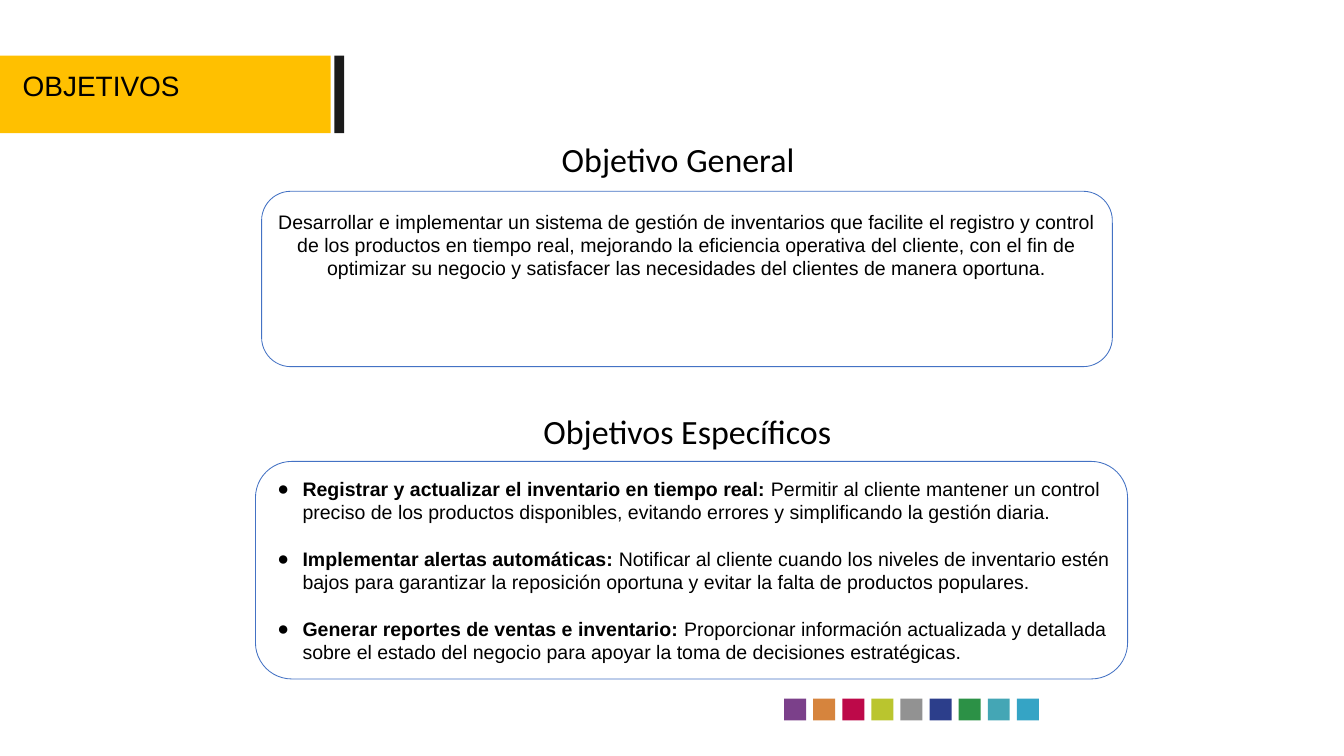
from dataclasses import dataclass

from lxml import etree
from pptx import Presentation
from pptx.dml.color import RGBColor as RGB
from pptx.enum.shapes import MSO_SHAPE as Kind
from pptx.enum.text import MSO_ANCHOR as Anchor, MSO_AUTO_SIZE as Fit, PP_ALIGN as Align
from pptx.oxml.ns import qn
from pptx.util import Inches, Pt


@dataclass(frozen=True)
class Theme:
    ink: str = "000000"
    gold: str = "FFC000"
    dark: str = "1A1A1A"
    edge: str = "4472C4"
    white: str = "FFFFFF"
    swatch: tuple = ("7B408A", "D6843D", "BD0949", "BAC52E", "929292",
                     "2C3E8B", "2C9146", "44A6B5", "35A4C5")
    sans: str = "Arial"
    head: str = "Calibri"
    title: float = 33
    label: float = 40
    text: float = 23


THEME = Theme()

GOAL = ("Desarrollar e implementar un sistema de gestión de inventarios que facilite "
        "el registro y control de los productos en tiempo real, mejorando la eficiencia "
        "operativa del cliente, con el fin de optimizar su negocio y satisfacer las "
        "necesidades del clientes de manera oportuna.")
AIMS = [
    ("Registrar y actualizar el inventario en tiempo real:",
     " Permitir al cliente mantener un control preciso de los productos disponibles, "
     "evitando errores y simplificando la gestión diaria."),
    ("Implementar alertas automáticas:",
     " Notificar al cliente cuando los niveles de inventario estén bajos para garantizar "
     "la reposición oportuna y evitar la falta de productos populares."),
    ("Generar reportes de ventas e inventario:",
     " Proporcionar información actualizada y detallada sobre el estado del negocio para "
     "apoyar la toma de decisiones estratégicas."),
]


def put(item, values):
    """Set each named attribute of item."""
    for name, value in values.items():
        setattr(item, name, value)


def place(shape, box):
    put(shape, dict(zip(("left", "top", "width", "height"), map(Inches, box))))


def setup(frame, pads, anchor=Anchor.TOP):
    """Set the insets (left, top, right, bottom), wrapping and anchor."""
    sides = ("margin_left", "margin_top", "margin_right", "margin_bottom")
    put(frame, dict(zip(sides, map(Inches, pads))))
    put(frame, {"word_wrap": True, "auto_size": Fit.NONE, "vertical_anchor": anchor})


def write(para, text, size, face=THEME.sans, bold=False):
    run = para.add_run()
    run.text = text
    put(run.font, {"size": Pt(size), "name": face, "bold": bold})
    run.font.color.rgb = RGB.from_string(THEME.ink)


def block(slide, box, fill, kind=Kind.RECTANGLE):
    shape = slide.shapes.add_shape(kind, *map(Inches, box))
    shape.shadow.inherit = False
    shape.fill.solid()
    shape.fill.fore_color.rgb = RGB.from_string(fill)
    shape.line.fill.background()
    return shape


def card(slide, box):
    shape = block(slide, box, THEME.white, Kind.ROUNDED_RECTANGLE)
    shape.line.color.rgb = RGB.from_string(THEME.edge)
    shape.line.width = Pt(1)
    return shape


def label(slide, box, text):
    frame = slide.shapes.add_textbox(*map(Inches, box)).text_frame
    setup(frame, (0.1, 0.06, 0.1, 0.05))
    para = frame.paragraphs[0]
    para.alignment = Align.CENTER
    write(para, text, THEME.label, THEME.head)


def bullet(para):
    props = para._p.get_or_add_pPr()
    props.set("marL", str(Inches(0.5)))
    props.set("indent", str(Inches(-0.41)))
    color = etree.SubElement(props, qn("a:buClr"))
    etree.SubElement(color, qn("a:srgbClr"), val=THEME.ink)
    etree.SubElement(props, qn("a:buFont"), typeface=THEME.sans)
    etree.SubElement(props, qn("a:buChar"), char="●")


def title(shape, box, text):
    place(shape, box)
    setup(shape.text_frame, (0, 0, 0, 0))
    para = shape.text_frame.paragraphs[0]
    para.alignment = Align.LEFT
    write(para, text, THEME.title)


def aims(shape, box):
    """Fill the body with the list of bold leads and their details."""
    place(shape, box)
    frame = shape.text_frame
    setup(frame, (0.27, 0.2, 0.27, 0.2), Anchor.MIDDLE)
    for i, (lead, rest) in enumerate(AIMS):
        para = frame.add_paragraph() if i else frame.paragraphs[0]
        para.space_before = Pt(27 if i else 0)
        bullet(para)
        write(para, lead, THEME.text, bold=True)
        write(para, rest, THEME.text)


def main():
    deck = Presentation()
    put(deck, {"slide_width": Inches(21.99), "slide_height": Inches(12.37)})
    slide = deck.slides.add_slide(deck.slide_layouts[1])
    head, body = slide.placeholders

    block(slide, (0, 0.91, 5.41, 1.27), THEME.gold)
    block(slide, (5.47, 0.91, 0.16, 1.27), THEME.dark)
    for i, color in enumerate(THEME.swatch):
        block(slide, (12.83 + 0.476 * i, 11.43, 0.36, 0.36), color)

    label(slide, (4.43, 2.21, 13.33, 0.77), "Objetivo General")
    goal = card(slide, (4.28, 3.13, 13.92, 2.87)).text_frame
    setup(goal, (0.1, 0.16, 0.1, 0.05))
    goal.paragraphs[0].alignment = Align.CENTER
    write(goal.paragraphs[0], GOAL, THEME.text)

    label(slide, (3.4, 6.66, 15.69, 0.77), "Objetivos Específicos")
    panel = (4.18, 7.55, 14.27, 3.56)
    card(slide, panel)

    title(head, (0.37, 1.12, 5.6, 1.28), "OBJETIVOS")
    aims(body, panel)
    for shape in (head, body):
        slide.shapes._spTree.append(shape._element)

    deck.save("out.pptx")


if __name__ == "__main__":
    main()
